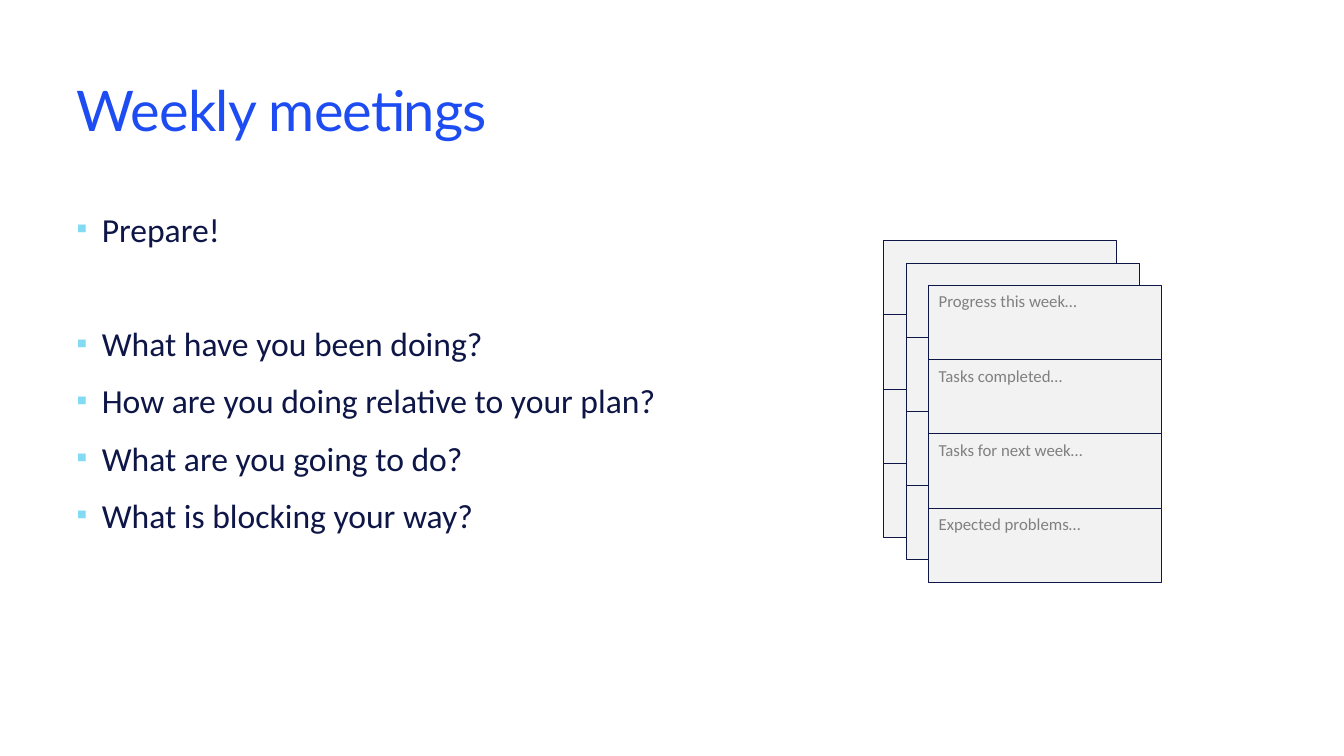
from dataclasses import dataclass

from lxml import etree
from pptx import Presentation
from pptx.dml.color import RGBColor
from pptx.enum.shapes import MSO_SHAPE
from pptx.enum.text import MSO_ANCHOR, MSO_AUTO_SIZE, PP_ALIGN
from pptx.oxml.ns import qn
from pptx.util import Pt

RECTANGLE = MSO_SHAPE.RECTANGLE
TOP, MIDDLE = MSO_ANCHOR.TOP, MSO_ANCHOR.MIDDLE
LEFT = PP_ALIGN.LEFT
NO_AUTOFIT = MSO_AUTO_SIZE.NONE
TITLE_ONLY = 5

BLUE, NAVY, CYAN = "1D4CF2", "0E1647", "82DAF3"
PALE_GRAY, GRAY = "F2F2F2", "808080"

MARGIN, CONTENT_WIDTH = 54.7, 850.3
BULLET_INDENT = 18
CARD_LEFT, CARD_TOP = 631.4, 172
CARD_WIDTH, SECTION_HEIGHT = 166.5, 53
CARD_OFFSET = 16


@dataclass(frozen=True)
class Bullet:
    text: str
    space_before: float = 6


BULLETS = [
    Bullet("Prepare!"),
    Bullet("What have you been doing?", space_before=47),
    Bullet("How are you doing relative to your plan?"),
    Bullet("What are you going to do?"),
    Bullet("What is blocking your way?"),
]

SECTIONS = [
    "Progress this week…",
    "Tasks completed…",
    "Tasks for next week…",
    "Expected problems…",
]
BLANK_SECTIONS = [""] * len(SECTIONS)
CARDS = [BLANK_SECTIONS, BLANK_SECTIONS, SECTIONS]


def color(value: str) -> RGBColor:
    return RGBColor.from_string(value)


def write(para, text: str, *, size: float, fill: str, font: str = "Calibri",
          tracking: float = 0) -> None:
    """Add a formatted run, with tracking in points, to a left-aligned paragraph."""
    para.alignment = LEFT
    span = para.add_run()
    span.text = text
    span.font.name = font
    span.font.size = Pt(size)
    span.font.color.rgb = color(fill)
    if tracking:
        span.font._element.set("spc", str(round(tracking * 100)))


def set_frame(frame, anchor, margin: float) -> None:
    frame.word_wrap = True
    frame.auto_size = NO_AUTOFIT
    frame.vertical_anchor = anchor
    frame.margin_left = frame.margin_right = Pt(margin)
    frame.margin_top = frame.margin_bottom = Pt(margin)


def add_bullet_mark(para) -> None:
    properties = para._p.get_or_add_pPr()
    properties.set("marL", str(Pt(BULLET_INDENT)))
    properties.set("indent", str(-Pt(BULLET_INDENT)))
    mark_color = etree.SubElement(properties, qn("a:buClr"))
    etree.SubElement(mark_color, qn("a:srgbClr"), val=CYAN)
    etree.SubElement(properties, qn("a:buSzPct"), val="90000")
    etree.SubElement(properties, qn("a:buFont"), typeface="Calibri")
    etree.SubElement(properties, qn("a:buChar"), char="▪")


def add_title(page, text: str) -> None:
    title = page.shapes.title
    title.left, title.top = Pt(MARGIN), Pt(28.8)
    title.width, title.height = Pt(CONTENT_WIDTH), Pt(104.4)
    set_frame(title.text_frame, MIDDLE, margin=0)
    para = title.text_frame.paragraphs[0]
    para.line_spacing = 0.9
    write(para, text, size=40, fill=BLUE, font="Lato", tracking=-0.5)


def add_bullets(page, bullets: list[Bullet]) -> None:
    box = page.shapes.add_textbox(Pt(MARGIN), Pt(149), Pt(CONTENT_WIDTH), Pt(293.8))
    frame = box.text_frame
    set_frame(frame, TOP, margin=0)
    for index, bullet in enumerate(bullets):
        para = frame.add_paragraph() if index else frame.paragraphs[0]
        para.space_before = Pt(bullet.space_before)
        para.space_after = Pt(6)
        add_bullet_mark(para)
        write(para, bullet.text, size=24, fill=NAVY)


def add_card(page, left: float, top: float, sections: list[str]) -> None:
    """Draw a grouped card of equal sections, stacked from the top."""
    card = page.shapes.add_group_shape()
    for row, text in enumerate(sections):
        section = card.shapes.add_shape(
            RECTANGLE, Pt(left), Pt(top + row * SECTION_HEIGHT),
            Pt(CARD_WIDTH), Pt(SECTION_HEIGHT))
        section.shadow.inherit = False
        section.fill.solid()
        section.fill.fore_color.rgb = color(PALE_GRAY)
        section.line.color.rgb = color(NAVY)
        section.line.width = Pt(0.75)
        if text:
            frame = section.text_frame
            set_frame(frame, TOP, margin=4)
            frame.margin_left = Pt(7.2)
            write(frame.paragraphs[0], text, size=12, fill=GRAY)


def main() -> None:
    deck = Presentation()
    deck.slide_width, deck.slide_height = Pt(960), Pt(540)
    page = deck.slides.add_slide(deck.slide_layouts[TITLE_ONLY])
    add_title(page, "Weekly meetings")
    add_bullets(page, BULLETS)
    for depth, sections in enumerate(CARDS):
        shift = depth * CARD_OFFSET
        add_card(page, CARD_LEFT + shift, CARD_TOP + shift, sections)
    deck.save("out.pptx")


if __name__ == "__main__":
    main()
